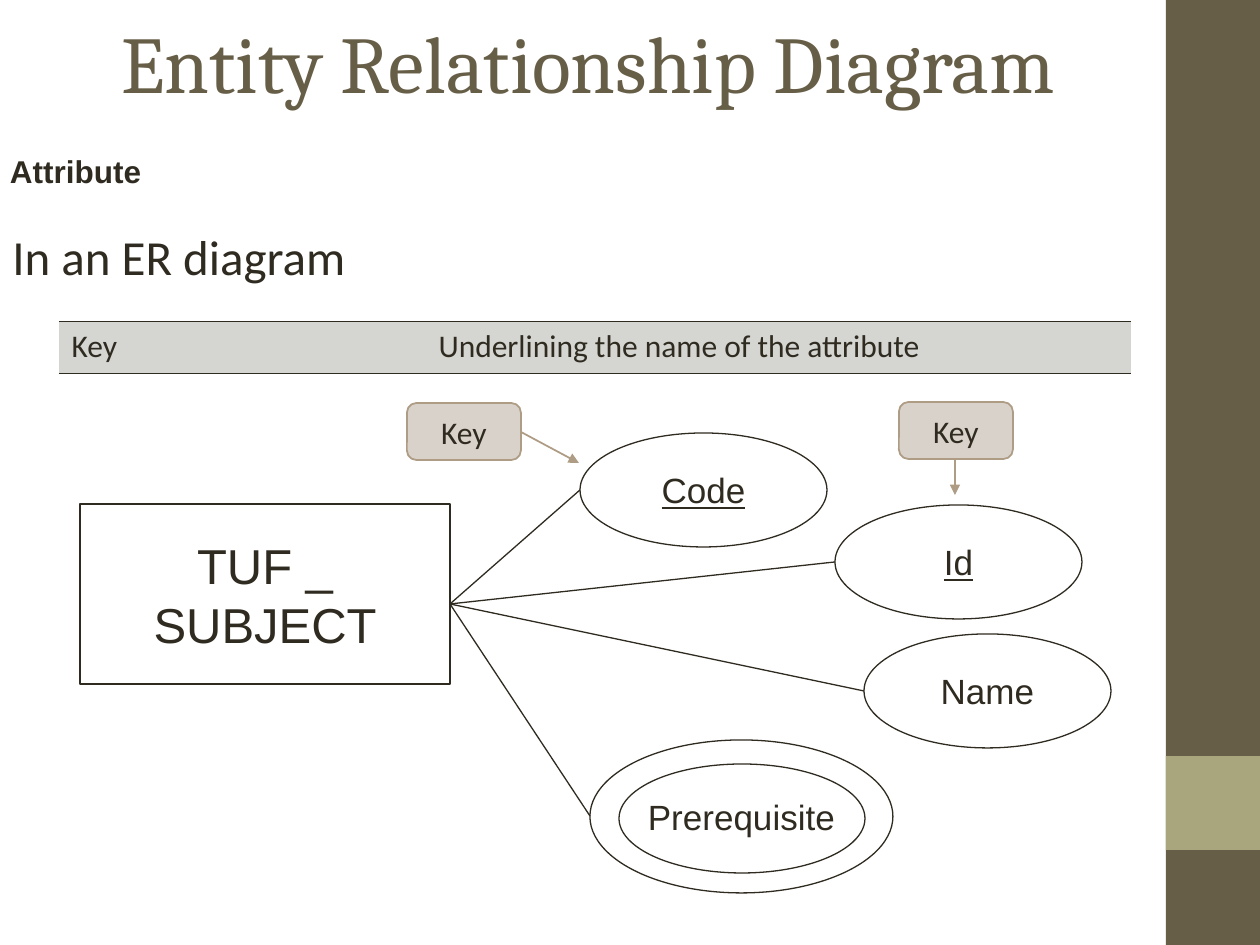
from lxml import etree
from pptx import Presentation
from pptx.dml.color import RGBColor
from pptx.enum.shapes import MSO_CONNECTOR, MSO_SHAPE
from pptx.enum.text import MSO_ANCHOR, PP_ALIGN
from pptx.oxml.ns import qn
from pptx.util import Pt

PX = 914400 // 126
LEFT, CENTER = PP_ALIGN.LEFT, PP_ALIGN.CENTER
TOP, MIDDLE = MSO_ANCHOR.TOP, MSO_ANCHOR.MIDDLE
RECT, ROUNDED, OVAL = MSO_SHAPE.RECTANGLE, MSO_SHAPE.ROUNDED_RECTANGLE, MSO_SHAPE.OVAL
STRAIGHT = MSO_CONNECTOR.STRAIGHT

INK, BROWN, SAGE = "2F2B20", "675E47", "A9A57C"
TAN, BEIGE, ROW_GREY = "AE9C85", "D9D2CA", "D5D5D2"


def rgb(color):
    return RGBColor.from_string(color)


def write(frame, text, font_name, size, color=INK, align=CENTER, **font_format):
    """Fill a text frame, one paragraph per line of text."""
    frame.text = text
    for paragraph in frame.paragraphs:
        paragraph.alignment = align
        font_values = {"name": font_name, "size": Pt(size), **font_format}
        for key, value in font_values.items():
            setattr(paragraph.font, key, value)
        paragraph.font.color.rgb = rgb(color)


prs = Presentation()
prs.slide_width, prs.slide_height = 1260 * 914400 // 126, 945 * 914400 // 126
slide = prs.slides.add_slide(prs.slide_layouts[5])
shapes = slide.shapes

# Side band
for top, height, color in [(0, 945, BROWN), (756, 94, SAGE)]:
    band = shapes.add_shape(RECT, 1166 * PX, top * PX, 95 * PX, height * PX)
    band.shadow.inherit = False
    band.fill.solid()
    band.fill.fore_color.rgb = rgb(color)
    band.line.fill.background()

# Title and headings
title = shapes.title
title.left, title.top, title.width, title.height = 63 * PX, 0, 1050 * PX, 123 * PX
title.text_frame.vertical_anchor = MIDDLE
write(title.text_frame, "Entity Relationship Diagram", "Cambria", 46, BROWN)

intro = shapes.add_textbox(0, 220 * PX, 1061 * PX, 80 * PX)
intro.text_frame.word_wrap = True
write(intro.text_frame, "In an ER diagram", "Calibri", 28, align=LEFT)

topic = shapes.add_textbox(0, 158 * PX, 179 * PX, 44 * PX)
topic_format = {"word_wrap": True, "margin_left": 10 * PX, "margin_right": 10 * PX,
                "margin_top": 0, "margin_bottom": 0}
for key, value in topic_format.items():
    setattr(topic.text_frame, key, value)
write(topic.text_frame, "Attribute", "Arial", 18, align=LEFT, bold=True)
topic.text_frame.paragraphs[0].line_spacing = Pt(18)

# Notation table
notation = shapes.add_table(1, 2, 59 * PX, 321 * PX, 1072 * PX, 52 * PX).table
notation.first_row = notation.horz_banding = False
columns = [(367, "Key"), (705, "Underlining the name of the attribute")]
for index, (width, text) in enumerate(columns):
    notation.columns[index].width = width * PX
    cell = notation.cell(0, index)
    write(cell.text_frame, text, "Calibri", 18, align=LEFT)
    properties = cell._tc.get_or_add_tcPr()
    for side in ("lnL", "lnR", "lnT", "lnB"):
        border = etree.SubElement(properties, qn(f"a:{side}"), w=str(Pt(0.45)))
        if side in ("lnT", "lnB"):
            border_fill = etree.SubElement(border, qn("a:solidFill"))
            etree.SubElement(border_fill, qn("a:srgbClr"), val=INK)
        else:
            etree.SubElement(border, qn("a:noFill"))
    cell.fill.solid()
    cell.fill.fore_color.rgb = rgb(ROW_GREY)

# Entity, attributes and key tags: kind, box, text, font, size, underline
nodes = [
    (RECT, (80, 504, 370, 180), "TUF _\nSUBJECT", "Arial", 28, False),
    (OVAL, (580, 433, 247, 114), "Code", "Arial", 20, True),
    (OVAL, (835, 505, 247, 114), "Id", "Arial", 20, True),
    (OVAL, (864, 634, 247, 114), "Name", "Arial", 20, False),
    (OVAL, (590, 740, 303, 153), "Prerequisite", "Arial", 20, False),
    (OVAL, (619, 764, 246, 109), "", "Arial", 20, False),
    (ROUNDED, (407, 403, 114, 57), "Key", "Calibri", 18, False),
    (ROUNDED, (899, 402, 114, 57), "Key", "Calibri", 18, False),
]
for kind, box, text, font_name, size, underline in nodes:
    node = shapes.add_shape(kind, *(length * PX for length in box))
    node.shadow.inherit = False
    is_tag = kind == ROUNDED
    if is_tag:
        node.fill.solid()
        node.fill.fore_color.rgb = rgb(BEIGE)
    else:
        node.fill.background()
    node.line.color.rgb = rgb(TAN if is_tag else INK)
    node.line.width = Pt(1 if is_tag else 0.75)
    node.text_frame.word_wrap = False
    node.text_frame.vertical_anchor = MIDDLE
    if text:
        write(node.text_frame, text, font_name, size, underline=underline)

# Lines from the entity to its attributes, arrows from the tags to the keys
ENTITY_PORT = (450, 604)
links = [(ENTITY_PORT, end, False)
         for end in [(580, 490), (835, 562), (864, 691), (590, 816)]]
links += [((521, 432), (579, 463), True), ((955, 458), (955, 495), True)]
for start, end, is_arrow in links:
    link = shapes.add_connector(STRAIGHT, *(value * PX for value in start + end))
    link.line.color.rgb = rgb(TAN if is_arrow else INK)
    link.line.width = Pt(1 if is_arrow else 0.75)
    if is_arrow:
        etree.SubElement(link.line._get_or_add_ln(), qn("a:tailEnd"), type="triangle")
    etree.SubElement(link._element.spPr, qn("a:effectLst"))

prs.save("out.pptx")
